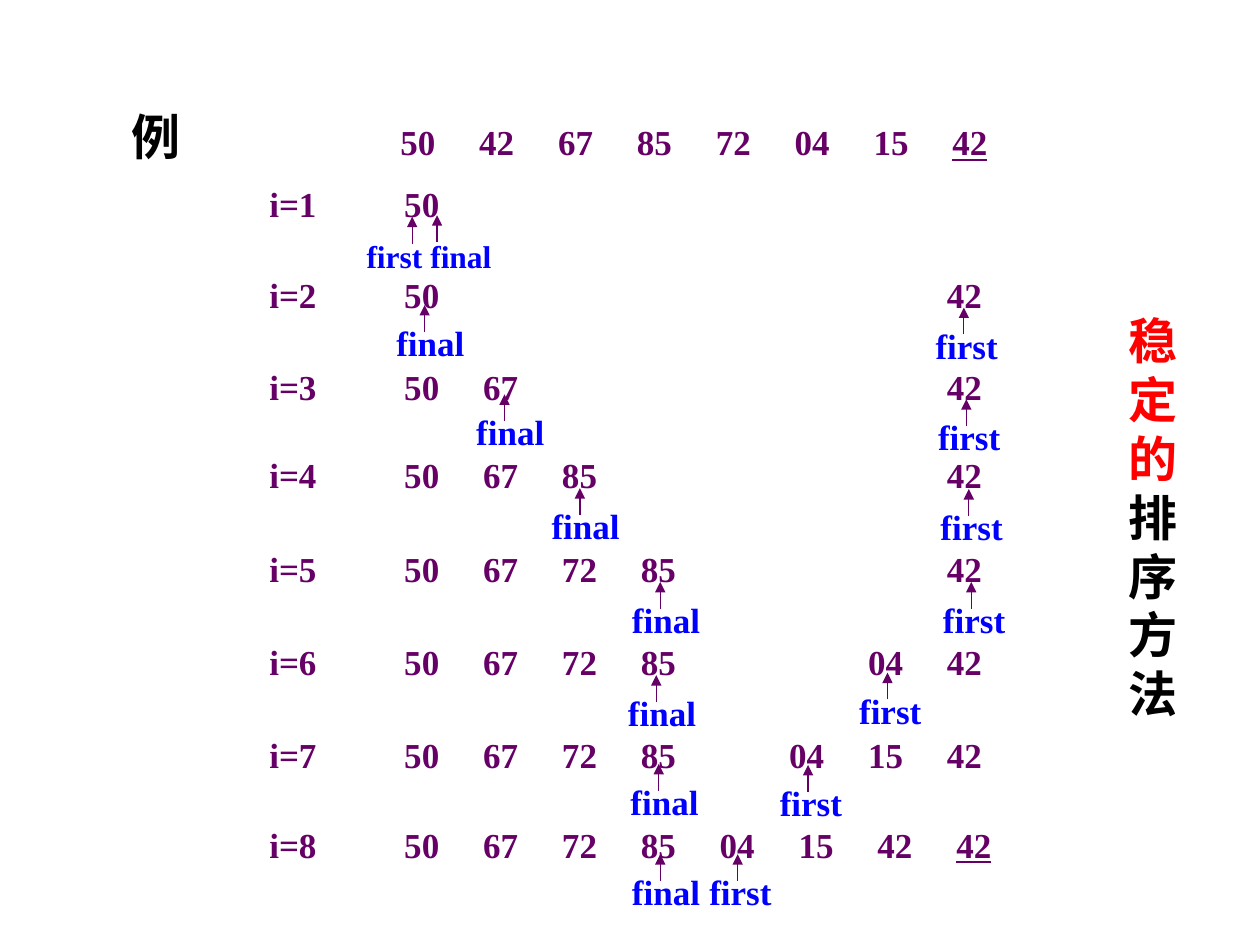
from lxml.etree import SubElement
from pptx import Presentation
from pptx.dml.color import RGBColor
from pptx.enum.shapes import MSO_CONNECTOR
from pptx.enum.text import MSO_ANCHOR, MSO_AUTO_SIZE, PP_ALIGN
from pptx.oxml.ns import qn
from pptx.util import Cm, Pt

COLORS = {"number": "660066", "label": "0000FF", "stable": "FF0000", "text": "000000"}
FONT = "Times New Roman"

prs = Presentation()
prs.slide_width, prs.slide_height = Cm(25.4), Cm(19.05)
s = prs.slides.add_slide(prs.slide_layouts[5])


def add_text(text, at, sp=None, size=20, color="number", tabs=(), wrap=False,
             align=PP_ALIGN.LEFT, tail="", tail_color=None, underline=None):
    """Fill a box with text; tail is a second run with its own colour or underline."""
    box = [Cm(v) for v in at]
    if sp is None:
        sp = s.shapes.add_textbox(*box)
    sp.left, sp.top, sp.width, sp.height = box
    tf = sp.text_frame
    tf.word_wrap = wrap
    tf.auto_size = MSO_AUTO_SIZE.SHAPE_TO_FIT_TEXT
    tf.vertical_anchor = MSO_ANCHOR.TOP
    p = tf.paragraphs[0]
    p.alignment = align
    if tabs:
        tab_list = SubElement(p._p.get_or_add_pPr(), qn("a:tabLst"))
        for pos in tabs:
            SubElement(tab_list, qn("a:tab"), pos=str(Cm(pos)), algn="l")
    for words, key, line in ((text, color, None), (tail, tail_color or color, underline)):
        if words:
            r = p.add_run()
            r.text = words
            r.font.name, r.font.size, r.font.bold = FONT, Pt(size), True
            r.font.underline = line
            r.font.color.rgb = RGBColor.from_string(COLORS[key])


def add_arrow(x, tip):
    """Draw a short arrow pointing up to (x, tip)."""
    line = s.shapes.add_connector(MSO_CONNECTOR.STRAIGHT, Cm(x), Cm(tip + 0.54), Cm(x), Cm(tip))
    line.line.color.rgb = RGBColor.from_string(COLORS["number"])
    line.line.width = Pt(0.75)
    SubElement(line.line._get_or_add_ln(), qn("a:tailEnd"), type="triangle")
    SubElement(line._element.spPr, qn("a:effectLst"))


# Title
add_text("例", (2.39, 2.02, 1.5, 1.45), sp=s.shapes.title, size=28, color="text")

# Rows of numbers: label, top, width, numbers from the left, numbers from the right
FIRST_TAB, STEP = 2.72, 1.59
RIGHT_SHIFT = 0.19
rows = [
    ("", 2.31, 14.99, "50 42 67 85 72 04 15 42", ""),
    ("i=1", 3.56, 3.94, "50", ""),
    ("i=2", 5.38, 14.88, "50", "42"),
    ("i=3", 7.24, 14.88, "50 67", "42"),
    ("i=4", 9.02, 14.88, "50 67 85", "42"),
    ("i=5", 10.92, 14.88, "50 67 72 85", "42"),
    ("i=6", 12.78, 14.88, "50 67 72 85", "04 42"),
    ("i=7", 14.66, 14.88, "50 67 72 85", "04 15 42"),
    ("i=8", 16.47, 15.06, "50 67 72 85 04 15 42 42", ""),
]
for label, top, width, left, right in rows:
    left, right = left.split(), right.split()
    start = FIRST_TAB if label else FIRST_TAB - 0.08
    tabs = [start + STEP * i for i in range(len(left))]
    tabs += [start + STEP * i - RIGHT_SHIFT for i in range(8 - len(right), 8)]
    cells = [label] + left + right
    # A full row ends with the second, underlined 42
    tail = cells.pop() if len(left) == 8 else ""
    text = "\t".join(cells) + ("\t" if tail else "")
    add_text(text, (5.18, top, width, 1.12), tabs=tabs, tail=tail, underline=True)

# Shared marker under the first row
add_arrow(8.81, 4.34)
add_arrow(8.31, 4.37)
add_text("first final", (7.14, 4.65, 3.15, 1.02), size=18, color="label")

# Markers: arrow tips (x, y) of final and first for rows 2 to 8
markers = [
    ((8.56, 6.15), (19.43, 6.2)),
    ((10.17, 7.95), (19.48, 8.05)),
    ((11.69, 9.84), (19.53, 9.86)),
    ((13.31, 11.73), (19.58, 11.73)),
    ((13.23, 13.61), (17.89, 13.56)),
    ((13.28, 15.4), (16.29, 15.42)),
    ((13.31, 17.22), (14.87, 17.22)),
]
for tips in markers:
    for name, width, (x, tip) in zip(("final", "first"), (1.92, 1.85), tips):
        add_arrow(x, tip)
        add_text(name, (x - 0.82, tip + 0.21, width, 1.12), color="label")

# Conclusion, one character per line
add_text("稳定的", (22.43, 6.14, 1.63, 8.56), size=28, color="stable", wrap=True,
         align=PP_ALIGN.CENTER, tail="排序方法", tail_color="text")

prs.save("out.pptx")
